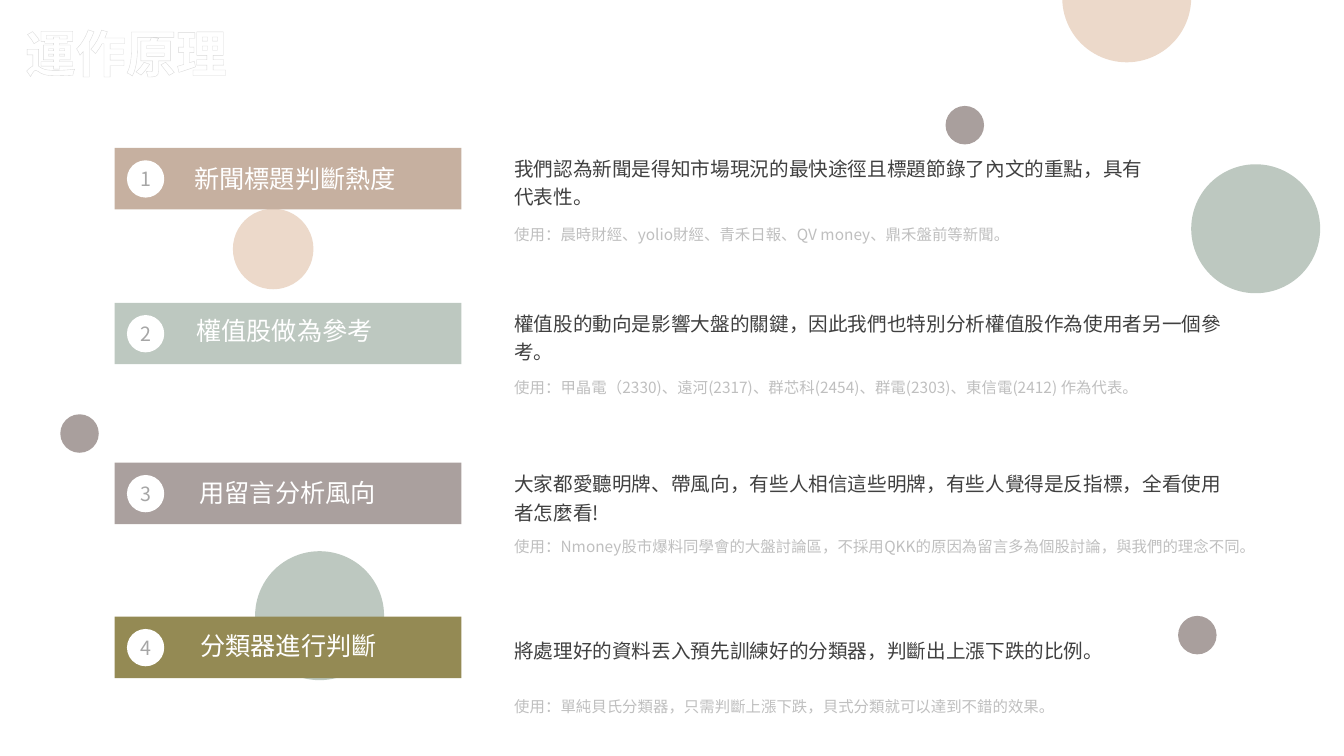
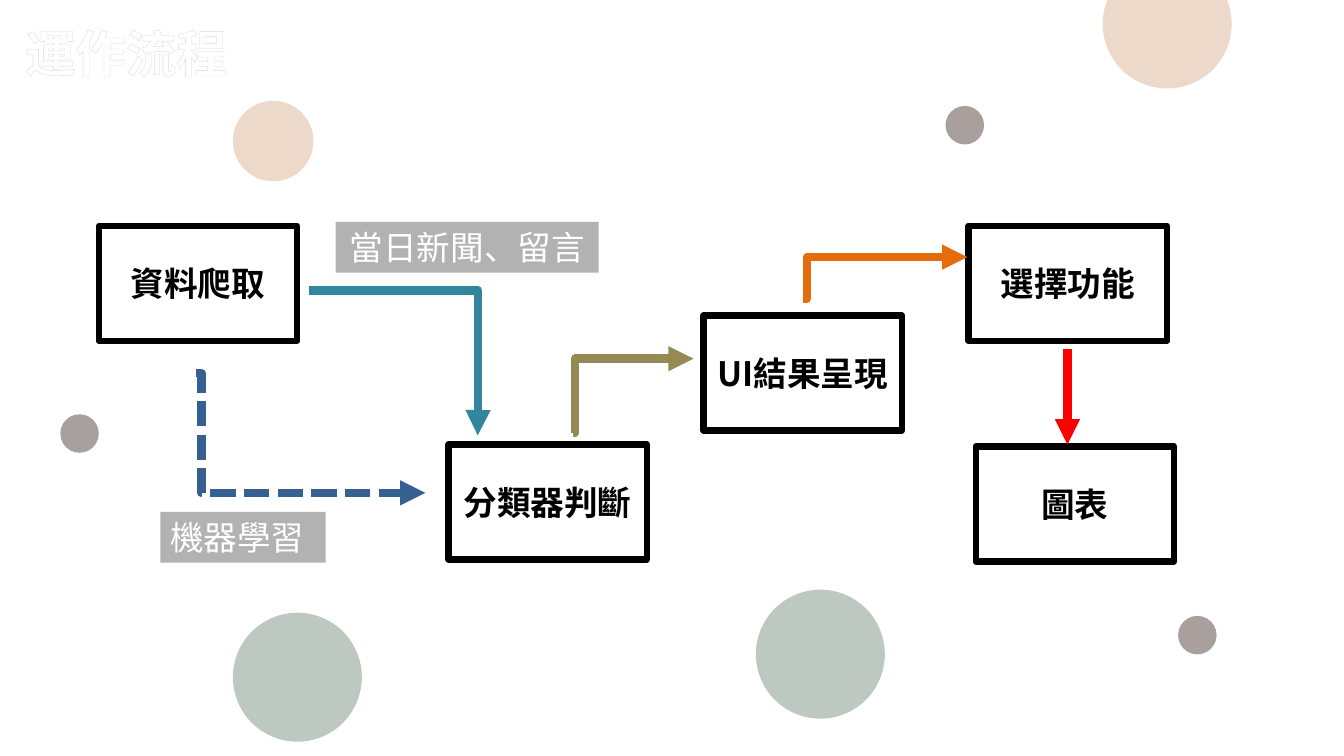
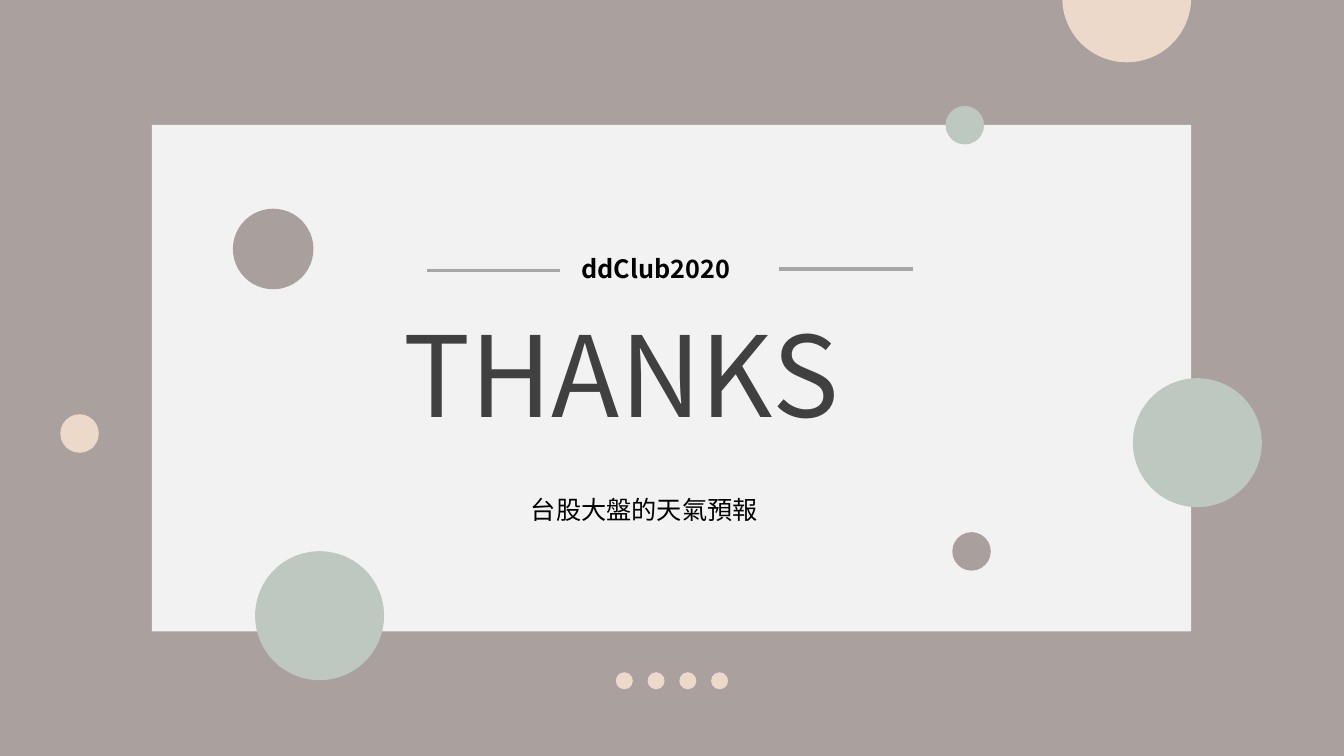
"""Build three slides on how a stock market forecast works."""
from lxml import etree
from pptx import Presentation
from pptx.dml.color import RGBColor
from pptx.enum.dml import MSO_LINE
from pptx.enum.shapes import MSO_CONNECTOR, MSO_SHAPE
from pptx.enum.text import MSO_ANCHOR, MSO_AUTO_SIZE, PP_ALIGN
from pptx.oxml.ns import qn
from pptx.util import Cm, Pt

FONT = "Noto Sans CJK SC"
WHITE = RGBColor(0xFF, 0xFF, 0xFF)
BLACK = RGBColor(0, 0, 0)
PEACH = RGBColor(0xEC, 0xD9, 0xCA)
SAGE = RGBColor(0xBD, 0xC8, 0xC0)
MAUVE = RGBColor(0xA9, 0x9F, 0x9D)
TAUPE = RGBColor(0xAA, 0xA0, 0x9E)
TAN = RGBColor(0xC6, 0xB0, 0xA0)
OLIVE = RGBColor(0x94, 0x8A, 0x54)
BLUE = RGBColor(0x37, 0x60, 0x92)
TEAL = RGBColor(0x31, 0x85, 0x9C)
ORANGE = RGBColor(0xE4, 0x6C, 0x0A)
RED = RGBColor(0xFF, 0, 0)
PALE = RGBColor(0xF2, 0xF2, 0xF2)
DARK = RGBColor(0x40, 0x40, 0x40)
GRAY = RGBColor(0xA6, 0xA6, 0xA6)
LIGHT = RGBColor(0xBF, 0xBF, 0xBF)

RECT, OVAL = MSO_SHAPE.RECTANGLE, MSO_SHAPE.OVAL
LINE, ELBOW = MSO_CONNECTOR.STRAIGHT, MSO_CONNECTOR.ELBOW
TOP, MIDDLE = MSO_ANCHOR.TOP, MSO_ANCHOR.MIDDLE
LEFT, CENTER = PP_ALIGN.LEFT, PP_ALIGN.CENTER
FIXED = MSO_AUTO_SIZE.NONE
DASH = MSO_LINE.SQUARE_DOT

BIG, MID, SMALL, TINY = 3.25, 2.03, 0.97, 0.43
HEAD = (0.38, 0.43, 10.03, 1.8)

STEP_DOTS = [
    (26.77, -1.68, BIG, PEACH), (30.02, 4.14, BIG, SAGE),
    (6.43, 13.89, BIG, SAGE), (5.87, 5.26, MID, PEACH),
    (1.52, 10.44, SMALL, MAUVE), (23.83, 2.67, SMALL, MAUVE),
    (29.69, 15.52, SMALL, MAUVE),
]
FLOW_DOTS = [
    (27.79, -1.02, BIG, PEACH), (19.05, 14.86, BIG, SAGE),
    (5.87, 15.44, BIG, SAGE), (5.87, 2.54, MID, PEACH),
    (1.52, 10.44, SMALL, MAUVE), (23.83, 2.67, SMALL, MAUVE),
    (29.69, 15.52, SMALL, MAUVE),
]
END_DOTS = [
    (26.77, -1.68, BIG, PEACH), (28.55, 9.53, BIG, SAGE),
    (6.43, 13.89, BIG, SAGE), (5.87, 5.26, MID, MAUVE),
    (1.52, 10.44, SMALL, PEACH), (23.83, 2.67, SMALL, SAGE),
    (24, 13.41, SMALL, MAUVE),
] + [(15.52 + 0.8 * i, 16.94, TINY, PEACH) for i in range(4)]

STEPS = [
    dict(top=3.73, fill=TAN, name="新聞標題判斷熱度", at=(4.65, 3.99),
         body="我們認為新聞是得知市場現況的最快途徑且標題節錄了內文的重點，具有代表性。",
         body_top=3.71, wide=16.38, note_top=5.46,
         note="使用：晨時財經、yolio財經、青禾日報、QV money、鼎禾盤前等新聞。"),
    dict(top=7.63, fill=SAGE, name="權值股做為參考", at=(4.7, 7.82),
         body="權值股的動向是影響大盤的關鍵，因此我們也特別分析權值股作為使用者另一個參考。",
         body_top=7.62, wide=18.52, note_top=9.32,
         note="使用：甲晶電（2330)、遠河(2317)、群芯科(2454)、群電(2303)、東信電(2412) 作為代表。"),
    dict(top=11.66, fill=TAUPE, name="用留言分析風向", at=(4.78, 11.91),
         body="大家都愛聽明牌、帶風向，有些人相信這些明牌，有些人覺得是反指標，全看使用者怎麼看!",
         body_top=11.66, wide=18.52, note_top=13.31,
         note="使用：Nmoney股市爆料同學會的大盤討論區，不採用QKK的原因為留言多為個股討論，與我們的理念不同。"),
    dict(top=15.54, fill=OLIVE, name="分類器進行判斷", at=(4.8, 15.75),
         body="將處理好的資料丟入預先訓練好的分類器，判斷出上漲下跌的比例。",
         body_top=15.85, wide=18.87, note_top=17.35,
         note="使用：單純貝氏分類器，只需判斷上漲下跌，貝式分類就可以達到不錯的效果。"),
]
BOXES = [
    ("資料爬取", 2.49, 5.69), ("分類器判斷", 11.3, 11.2),
    ("UI結果呈現", 17.73, 7.95), ("選擇功能", 24.41, 5.69),
    ("圖表", 24.59, 11.25),
]
ARROWS = [
    (ELBOW, (4.93, 9.4, 10.72, 12.42), BLUE, 2500, DASH),
    (ELBOW, (7.8, 7.32, 12.04, 10.97), TEAL, 100200, None),
    (ELBOW, (14.43, 10.92, 17.48, 9.04), OLIVE, 2100, None),
    (ELBOW, (20.24, 7.52, 24.38, 6.48), ORANGE, 2500, None),
    (LINE, (26.9, 8.79, 26.9, 11.2), RED, None, None),
]
TAGS = [
    ("機器學習", (4.04, 12.9, 4.17, 1.28), LEFT),
    ("當日新聞、留言", (8.46, 5.59, 6.63, 1.28), CENTER),
]
RULES = [(10.77, 6.81, 14.12, 6.81), (19.63, 6.78, 23.01, 6.78)]


def cms(nums):
    """Turn plain numbers into lengths."""
    return [Cm(n) for n in nums]


def write(shape, text, size, color, bold=False, align=LEFT, anchor=TOP,
          gap=None, wrap=True):
    """Put one styled paragraph in a shape and return its font element."""
    frame = shape.text_frame
    frame.text = text
    frame.word_wrap = wrap
    frame.auto_size = FIXED
    frame.vertical_anchor = anchor
    para = frame.paragraphs[0]
    para.alignment = align
    if gap:
        para.line_spacing = gap
    font = para.font
    font.size, font.bold, font.name = Pt(size), bold, FONT
    font.color.rgb = color
    props = para._p.pPr.find(qn("a:defRPr"))
    props.find(qn("a:latin")).addnext(
        props.makeelement(qn("a:ea"), {"typeface": FONT}))
    return props


def label(slide, at, *args, **style):
    """Add a text box."""
    write(slide.shapes.add_textbox(*cms(at)), *args, **style)


def block(slide, kind, at, fill):
    """Add a flat filled shape."""
    shape = slide.shapes.add_shape(kind, *cms(at))
    shape.shadow.inherit = False
    shape.fill.solid()
    shape.fill.fore_color.rgb = fill
    shape.line.fill.background()
    return shape


def wire(slide, kind, ends, color, width):
    """Add a flat connector."""
    line = slide.shapes.add_connector(kind, *cms(ends))
    line.line.color.rgb = color
    line.line.width = Pt(width)
    etree.SubElement(line._element.spPr, qn("a:effectLst"))
    return line


def arrow(slide, kind, ends, color, bend, dash):
    """Add a thick connector with a head and an optional bend."""
    line = wire(slide, kind, ends, color, 6)
    if dash:
        line.line.dash_style = dash
    etree.SubElement(line.line._get_or_add_ln(), qn("a:tailEnd"), type="triangle")
    if bend:
        geom = line._element.spPr.find(qn("a:prstGeom"))
        guides = geom.find(qn("a:avLst"))
        etree.SubElement(guides, qn("a:gd"), name="adj1", fmla=f"val {bend}")


def start(deck, dots, panel=None):
    """Add a title-only slide with its circles."""
    slide = deck.slides.add_slide(deck.slide_layouts[5])
    if panel:
        block(slide, RECT, panel, PALE)
    for x, y, size, fill in dots:
        block(slide, OVAL, (x, y, size, size), fill)
    return slide


def title(slide, at, *args, **style):
    """Place the title in front and return its font element."""
    shape = slide.shapes.title
    shape.left, shape.top, shape.width, shape.height = cms(at)
    slide.shapes._spTree.append(shape._element)
    return write(shape, *args, **style)


def heading(slide, text):
    """Write the shared white title with its thin outline."""
    props = title(slide, HEAD, text, 36, WHITE, bold=True)
    edge = props.makeelement(qn("a:ln"), {"w": "6600"})
    fill = etree.SubElement(edge, qn("a:solidFill"))
    etree.SubElement(fill, qn("a:srgbClr"), val="D9D9D9")
    props.insert(0, edge)


def steps(deck):
    """Build the slide of numbered steps."""
    slide = start(deck, STEP_DOTS)
    heading(slide, "運作原理")
    for num, step in enumerate(STEPS, 1):
        top = step["top"]
        block(slide, RECT, (2.89, top, 8.74, 1.55), step["fill"])
        disc = block(slide, OVAL, (3.2, top + 0.31, 0.94, 0.94), WHITE)
        write(disc, str(num), 14, GRAY, align=CENTER, anchor=MIDDLE, wrap=False)
        label(slide, (*step["at"], 6.78, 1.02), step["name"], 18, WHITE)
        label(slide, (12.71, step["body_top"], step["wide"], 1.63),
              step["body"], 14, DARK, gap=1.2)
        label(slide, (12.71, step["note_top"], 19.56, 0.76),
              step["note"], 11, LIGHT, gap=1.2)


def flow(deck):
    """Build the flow chart slide."""
    slide = start(deck, FLOW_DOTS)
    heading(slide, "運作流程")
    for text, x, y in BOXES:
        box = block(slide, RECT, (x, y, 5, 2.9), WHITE)
        box.line.color.rgb = BLACK
        box.line.width = Pt(4.5)
        write(box, text, 24, BLACK, bold=True, align=CENTER, anchor=MIDDLE,
              wrap=False)
    for item in ARROWS:
        arrow(slide, *item)
    for text, at, align in TAGS:
        tag = block(slide, RECT, at, BLACK)
        tint = tag._element.spPr.find(qn("a:solidFill"))[0]
        etree.SubElement(tint, qn("a:alpha"), val="30000")
        write(tag, text, 24, WHITE, align=align)


def thanks(deck):
    """Build the closing slide."""
    slide = start(deck, END_DOTS, (3.83, 3.15, 26.19, 12.76))
    back = slide.background.fill
    back.solid()
    back.fore_color.rgb = TAUPE
    title(slide, (9.91, 7.57, 14.07, 3.68), "THANKS", 80, DARK)
    for ends in RULES:
        wire(slide, LINE, ends, GRAY, 2.25)
    label(slide, (14.4, 6.07, 5.2, 1.4), "ddClub2020", 18, BLACK,
          bold=True, anchor=MIDDLE)
    label(slide, (13.13, 12.32, 8, 1.02), "台股大盤的天氣預報", 18, BLACK)


def main():
    """Build and save the deck."""
    deck = Presentation()
    deck.slide_width, deck.slide_height = Cm(33.87), Cm(19.05)
    for build in (steps, flow, thanks):
        build(deck)
    deck.save("out.pptx")


if __name__ == "__main__":
    main()
